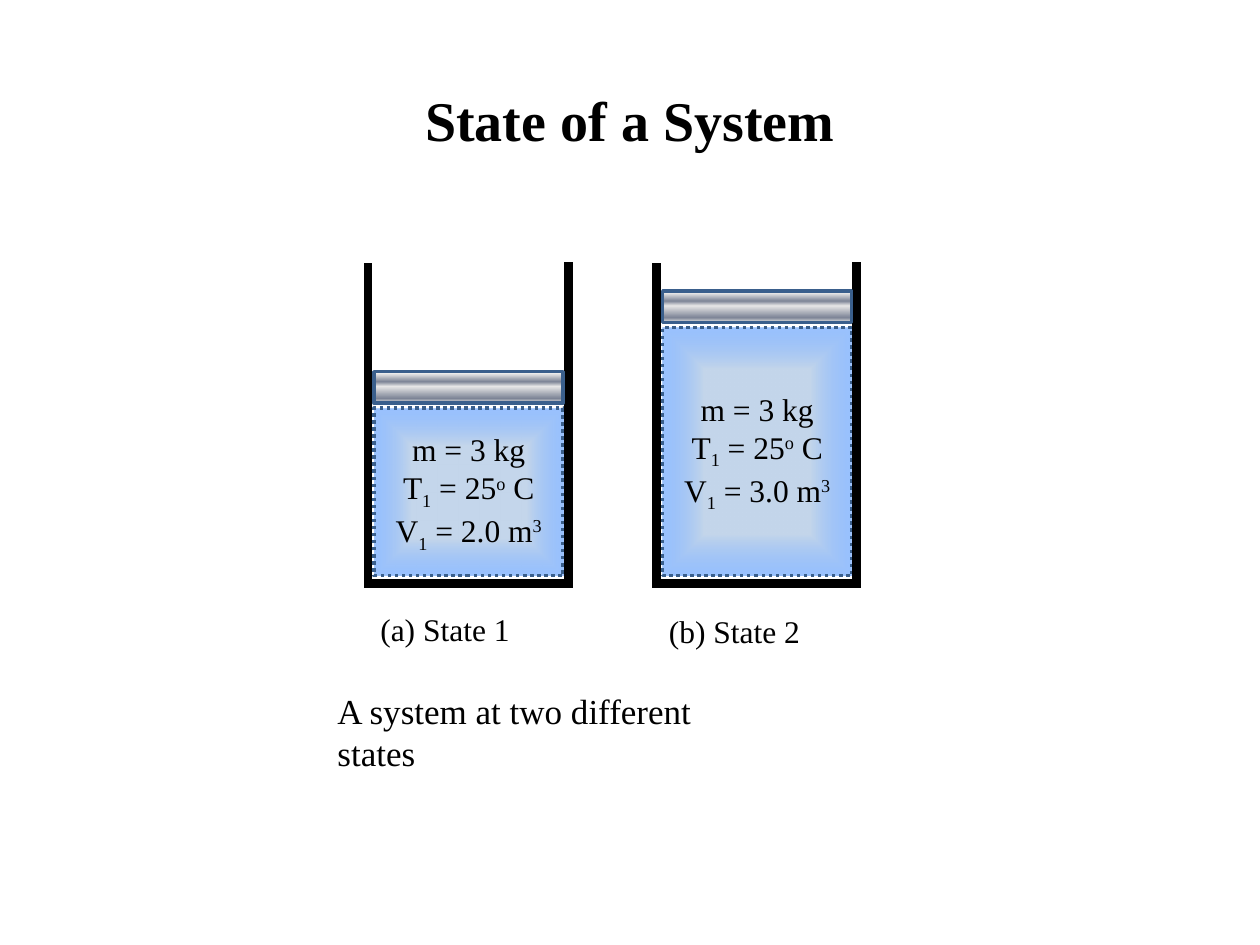
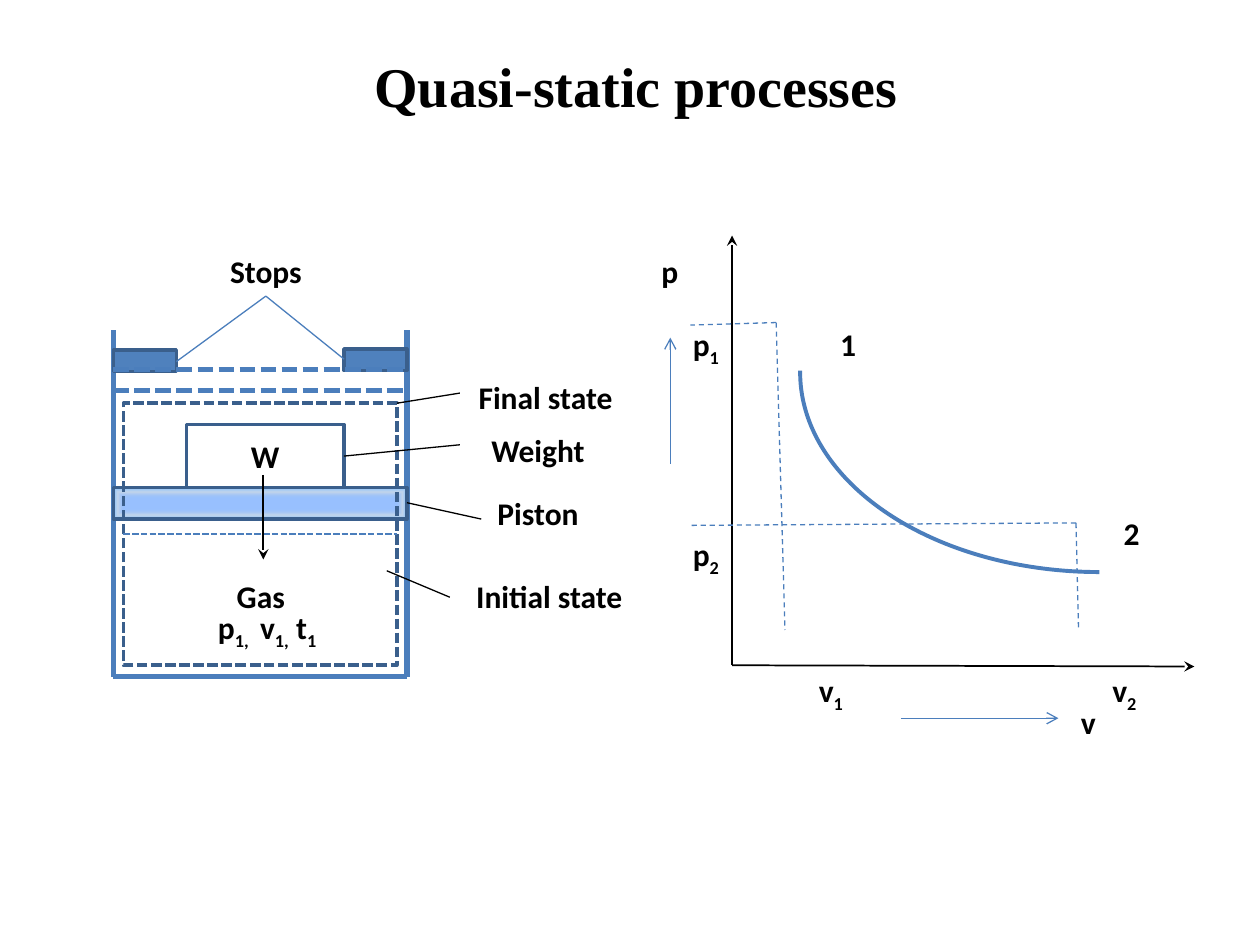
"""Build two slides on the state of a system and quasi-static processes."""
import pptx
import pptx.dml.color
import pptx.enum.dml
import pptx.enum.shapes
import pptx.enum.text
import pptx.oxml
import pptx.oxml.ns
import pptx.util

SERIF, SANS = "Times New Roman", "Calibri"
BLACK, BLUE, NAVY, SOLID = "000000", "4B7EBC", "3A5F8C", "4F81BD"
DASH = pptx.enum.dml.MSO_LINE
SHAPE = pptx.enum.shapes.MSO_SHAPE
ALIGN = pptx.enum.text.PP_ALIGN
ANCHOR = pptx.enum.text.MSO_ANCHOR
SPACE = 'xmlns:a="http://schemas.openxmlformats.org/drawingml/2006/main"'
DOWN = '<a:lin ang="5400000" scaled="0"/>'
INWARD = '<a:path path="shape"><a:fillToRect l="50000" t="50000" r="50000" b="50000"/></a:path>'
GAS = ([(56, "C4D6EB", 100), (100, "5E9EFF", 63), (100, "85C2FF", 97), (100, "FFEBFA", 100)], INWARD)
PLATE = ([(33, "5E9EFF", 63), (70, "C4D6EB", 100), (100, "85C2FF", 100), (100, "FFEBFA", 100)], INWARD)
METAL = ([(0, "FFFFFF", 100), (7, "E6E6E6", 100), (32, "7D8496", 100),
          (47, "E6E6E6", 100), (85, "7D8496", 100), (100, "E6E6E6", 100)], DOWN)


def hue(code):
    return pptx.dml.color.RGBColor.from_string(code)


def inch(size):
    return pptx.util.Cm(size * 2.54)


def apply(target, values):
    for name, value in values.items():
        setattr(target, name, value)


class Deck:
    def __init__(self):
        self.file = pptx.Presentation()
        apply(self.file, {"slide_width": inch(10), "slide_height": inch(7.5)})
        self.page = None

    def start(self):
        self.page = self.file.slides.add_slide(self.file.slide_layouts[6]).shapes

    def words(self, frame, lines, size, face, bold, align):
        for order, line in enumerate(lines):
            para = frame.add_paragraph() if order else frame.paragraphs[0]
            para.alignment = align
            for part in line.split("|"):
                shift = {"_": "-25000", "^": "30000"}.get(part[0])
                run = para.add_run()
                run.text = part[1:] if shift else part
                apply(run.font, {"size": pptx.util.Pt(size), "name": face, "bold": bold})
                run.font.color.rgb = hue(BLACK)
                if shift:
                    run._r.get_or_add_rPr().set("baseline", shift)

    def text(self, spot, line, size=18, face=SANS, bold=True, align=ALIGN.LEFT, wrap=True, top=0.05):
        frame = self.page.add_textbox(*map(inch, spot)).text_frame
        apply(frame, {"word_wrap": wrap, "margin_top": inch(top), "vertical_anchor": ANCHOR.TOP})
        self.words(frame, [line], size, face, bold, align)

    def title(self, spot, line):
        self.text(spot, line, 32, SERIF, align=ALIGN.CENTER, top=0.1)

    def stroke(self, line, code, width, dash):
        line.color.rgb = hue(code)
        apply(line, {"width": pptx.util.Pt(width), "dash_style": dash})

    def blend(self, shape, stops, shade):
        marks = "".join(
            f'<a:gs pos="{place * 1000}"><a:srgbClr val="{code}">'
            f'<a:alpha val="{clear * 1000}"/></a:srgbClr></a:gs>' for place, code, clear in stops)
        fill = pptx.oxml.parse_xml(f'<a:gradFill {SPACE} rotWithShape="1"><a:gsLst>{marks}</a:gsLst>{shade}</a:gradFill>')
        props = shape._element.spPr
        props.replace(props.find(pptx.oxml.ns.qn("a:noFill")), fill)

    def form(self, spot, fill=None, code=NAVY, width=2, dash=None, kind=SHAPE.RECTANGLE):
        shape = self.page.add_shape(kind, *map(inch, spot))
        shape.shadow.inherit = False
        shape.fill.background()
        if isinstance(fill, tuple):
            self.blend(shape, *fill)
        elif fill:
            shape.fill.solid()
            shape.fill.fore_color.rgb = hue(fill)
        self.stroke(shape.line, code, width, dash)
        return shape

    def label(self, shape, lines, face, bold):
        shape.text_frame.vertical_anchor = ANCHOR.MIDDLE
        self.words(shape.text_frame, lines, 18, face, bold, ALIGN.CENTER)

    def line(self, ends, code=BLACK, width=0.75, dash=None, head=None):
        link = self.page.add_connector(pptx.enum.shapes.MSO_CONNECTOR.STRAIGHT, *map(inch, ends))
        self.stroke(link.line, code, width, dash)
        if head:
            link.line._get_or_add_ln().append(pptx.oxml.parse_xml(f'<a:tailEnd {SPACE} type="{head}"/>'))
        link._element.spPr.append(pptx.oxml.parse_xml(f"<a:effectLst {SPACE}/>"))

    def tank(self, left, top, size):
        gas = self.form((left, top, 1.5, 4.57 - top), GAS, dash=DASH.ROUND_DOT)
        self.label(gas, ["m = 3 kg", "T|_1| = 25|^o| C", f"V|_1| = {size} m|^3"], SERIF, False)
        west, east = left - 0.05, left + 1.54
        for ends in ((west, 2.09, west, 4.67), (east, 2.08, east, 4.67), (west, 4.63, east, 4.63)):
            self.line(ends, width=5)
        self.form((left, top - 0.29, 1.5, 0.25), METAL)


def states(deck):
    deck.start()
    deck.title((0.5, 0.58, 9, 0.75), "State of a System")
    deck.text((2.58, 5.42, 3.62, 0.44), "A system at two different states", 20, SERIF, False)
    deck.tank(2.97, 3.24, "2.0")
    deck.tank(5.26, 2.6, "3.0")
    deck.text((2.92, 4.79, 1.75, 0.4), "(a) State 1", face=SERIF, bold=False)
    deck.text((5.21, 4.81, 1.71, 0.4), "(b) State 2", face=SERIF, bold=False)


def piston(deck):
    for ends in ((0.9, 2.62, 0.9, 5.37), (3.23, 2.62, 3.23, 5.37), (0.9, 5.37, 3.23, 5.37)):
        deck.line(ends, BLUE, 3)
    deck.form((0.9, 3.87, 2.33, 0.25), PLATE)
    deck.form((0.9, 2.78, 0.5, 0.17), SOLID)
    deck.form((2.73, 2.77, 0.5, 0.17), SOLID)
    for y in (2.93, 3.1):
        deck.line((0.9, y, 3.23, y), BLUE, 3, DASH.SQUARE_DOT)
    deck.form((0.98, 3.2, 2.17, 2.08), dash=DASH.SQUARE_DOT)
    deck.label(deck.form((1.48, 3.37, 1.25, 0.5)), ["W"], SANS, True)
    deck.line((0.98, 4.24, 3.15, 4.24), BLUE, 1.25, DASH.SQUARE_DOT)
    deck.line((2.09, 3.77, 2.09, 4.44), width=1.25, head="stealth")
    deck.text((1.73, 4.53, 0.68, 0.4), "Gas", align=ALIGN.CENTER, wrap=False)
    deck.text((1.55, 4.78, 1.14, 0.4), "p|_1, | v|_1,| t|_1", align=ALIGN.CENTER, wrap=False)
    for x, y, name in ((3.57, 4.53, "Initial state"), (3.54, 2.95, "Final state"), (1.32, 1.95, "Stops"),
                       (3.48, 3.37, "Weight"), (3.48, 3.87, "Piston")):
        deck.text((x, y, 1.58, 0.4), name, align=ALIGN.CENTER)
    for ends in ((3.15, 3.2, 3.65, 3.12), (2.73, 3.62, 3.65, 3.53),
                 (3.23, 3.99, 3.82, 4.12), (3.07, 4.53, 3.57, 4.74)):
        deck.line(ends)
    for end in ((1.4, 2.87), (2.73, 2.85)):
        deck.line((2.11, 2.35, *end), BLUE)


def graph(deck):
    curve = deck.form((6.35, 1.37, 4.75, 3.17), code=BLUE, width=2.25, kind=SHAPE.ARC)
    curve.rotation = 180
    curve.adjustments[0], curve.adjustments[1] = 162, 0.2
    for end in ((9.48, 5.29), (5.81, 1.87)):
        deck.line((5.81, 5.28, *end), width=1, head="stealth")
    for ends in ((8.54, 4.15, 8.56, 5), (6.16, 2.56, 6.23, 5),
                 (8.54, 4.15, 5.48, 4.17), (6.16, 2.56, 5.48, 2.58)):
        deck.line(ends, BLUE, dash=DASH.DASH)
    for ends in ((7.15, 5.7, 8.4, 5.7), (5.32, 3.68, 5.32, 2.68)):
        deck.line(ends, BLUE, head="arrow")
    for x, y, wide, name in ((5.4, 2.53, 0.45, "p|_1"), (5.4, 4.2, 0.45, "p|_2"),
                             (6.4, 5.28, 0.45, "v|_1"), (8.73, 5.28, 0.44, "v|_2"),
                             (5.15, 1.95, 0.36, "p"), (8.48, 5.53, 0.34, "v"),
                             (6.57, 2.53, 0.34, "1"), (8.82, 4.03, 0.34, "2")):
        deck.text((x, y, wide, 0.4), name, wrap=False)


deck = Deck()
states(deck)
deck.start()
piston(deck)
graph(deck)
deck.title((0.55, 0.31, 9, 0.97), "Quasi-static processes")
deck.file.save("out.pptx")
